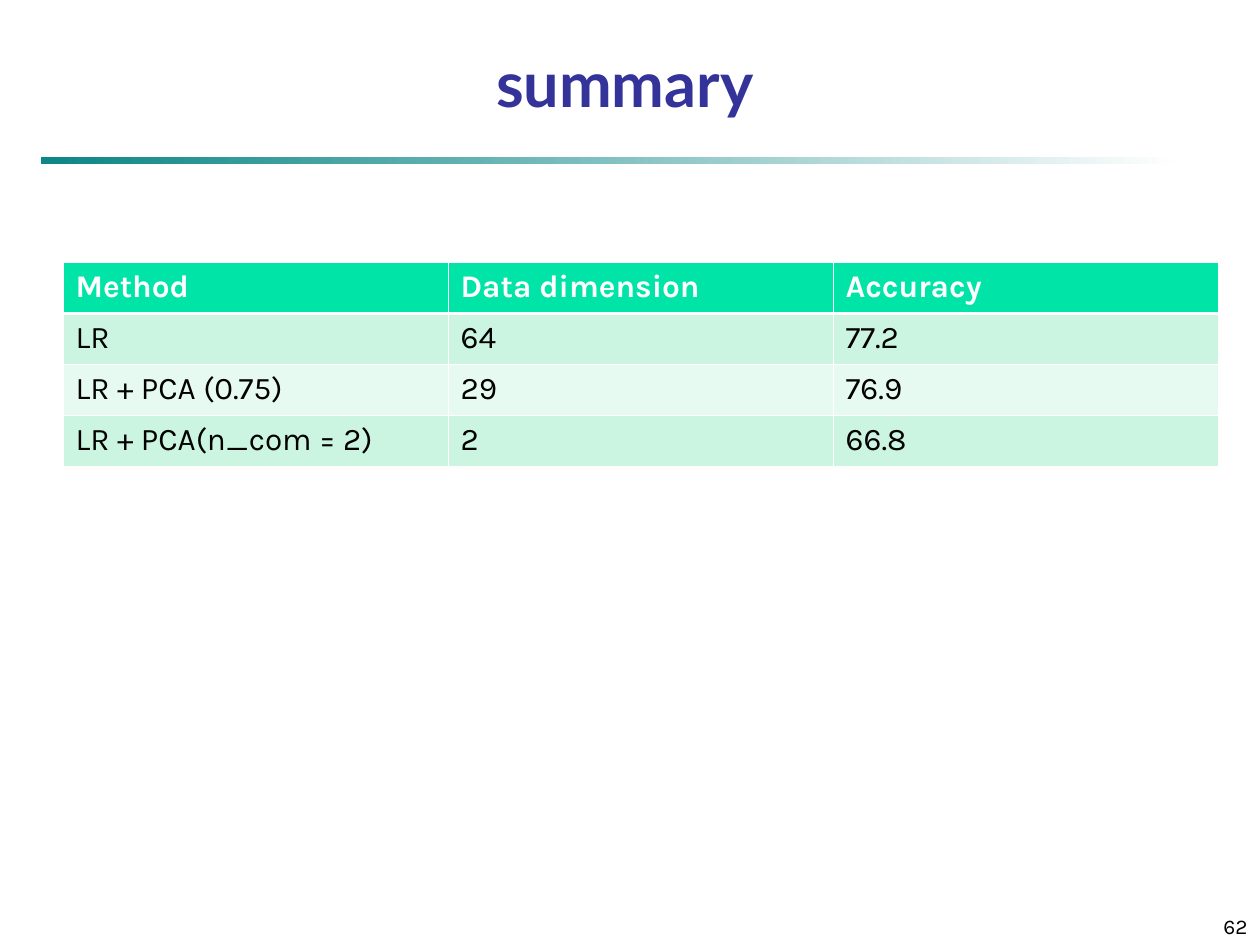
from dataclasses import dataclass

from lxml import etree
from pptx import Presentation
from pptx.dml.color import RGBColor
from pptx.enum import shapes, text
from pptx.oxml import ns
from pptx.util import Pt


@dataclass(frozen=True)
class Theme:
    title_font: str = "Lato"
    body_font: str = "Karla"
    title_size: float = 36
    table_size: float = 18
    number_size: float = 12
    title: str = "333399"
    rule: str = "008080"
    header: str = "00E4A8"
    bands: tuple = ("CBF5E1", "E7FAF1")
    ink: str = "000000"
    paper: str = "FFFFFF"
    thin: float = 0.45
    thick: float = 1.47


THEME = Theme()
ROWS = [
    ("Method", "Data dimension", "Accuracy"),
    ("LR", "64", "77.2"),
    ("LR + PCA (0.75)", "29", "76.9"),
    ("LR + PCA(n_com = 2)", "2", "66.8"),
]


def write(frame, wording, *, font, size, color, bold=False,
          align=text.PP_ALIGN.LEFT, anchor=None):
    frame.word_wrap = True
    if anchor is not None:
        frame.vertical_anchor = anchor
    paragraph = frame.paragraphs[0]
    paragraph.alignment = align
    run = paragraph.add_run()
    run.text = wording
    run.font.name = font
    run.font.size = Pt(size)
    run.font.bold = bold
    run.font.color.rgb = RGBColor.from_string(color)


def place_title(slide, box, wording):
    title = slide.shapes.title
    title.left, title.top, title.width, title.height = map(Pt, box)
    title.text_frame.auto_size = text.MSO_AUTO_SIZE.NONE
    write(title.text_frame, wording, font=THEME.title_font, size=THEME.title_size,
          color=THEME.title, bold=True, align=text.PP_ALIGN.CENTER,
          anchor=text.MSO_ANCHOR.BOTTOM)


def place_fading_rule(slide, box):
    rule = slide.shapes.add_shape(shapes.MSO_SHAPE.RECTANGLE, *map(Pt, box))
    rule.shadow.inherit = False
    rule.line.fill.background()
    rule.fill.gradient()
    rule.fill.gradient_angle = 0
    for stop, color in zip(rule.fill.gradient_stops, (THEME.rule, THEME.paper)):
        stop.color.rgb = RGBColor.from_string(color)
    start_color = next(rule._element.spPr.iter(ns.qn("a:srgbClr")))
    etree.SubElement(start_color, ns.qn("a:alpha"), val="95000")


def set_borders(cell, widths):
    """Draw the left, right, top and bottom borders, widths in points."""
    properties = cell._tc.get_or_add_tcPr()
    for index, (side, width) in enumerate(zip("LRTB", widths)):
        border = etree.Element(ns.qn(f"a:ln{side}"), w=str(Pt(width)))
        fill = etree.SubElement(border, ns.qn("a:solidFill"))
        etree.SubElement(fill, ns.qn("a:srgbClr"), val=THEME.paper)
        properties.insert(index, border)


def place_results_table(slide, box, rows):
    results = slide.shapes.add_table(len(rows), len(rows[0]), *map(Pt, box)).table
    for r, row in enumerate(rows):
        is_header = r == 0
        fill = THEME.header if is_header else THEME.bands[(r - 1) % 2]
        top = THEME.thick if r == 1 else THEME.thin
        bottom = THEME.thick if is_header else THEME.thin
        for c, wording in enumerate(row):
            cell = results.cell(r, c)
            cell.fill.solid()
            cell.fill.fore_color.rgb = RGBColor.from_string(fill)
            set_borders(cell, (THEME.thin, THEME.thin, top, bottom))
            write(cell.text_frame, wording, font=THEME.body_font,
                  size=THEME.table_size, bold=is_header,
                  color=THEME.paper if is_header else THEME.ink)


def place_page_number(slide, box, number):
    page = slide.shapes.add_textbox(*map(Pt, box))
    write(page.text_frame, number, font=THEME.body_font, size=THEME.number_size,
          color=THEME.ink, align=text.PP_ALIGN.RIGHT, anchor=text.MSO_ANCHOR.BOTTOM)


def main():
    deck = Presentation()
    deck.slide_width, deck.slide_height = Pt(720), Pt(540)
    slide = deck.slides.add_slide(deck.slide_layouts[5])
    place_fading_rule(slide, (24, 90, 648, 3.6))
    place_title(slide, (12, 24, 690, 48), "summary")
    place_results_table(slide, (36, 150, 660, 116.6), ROWS)
    place_page_number(slide, (570, 510, 150, 30), "62")
    deck.save("out.pptx")


if __name__ == "__main__":
    main()
